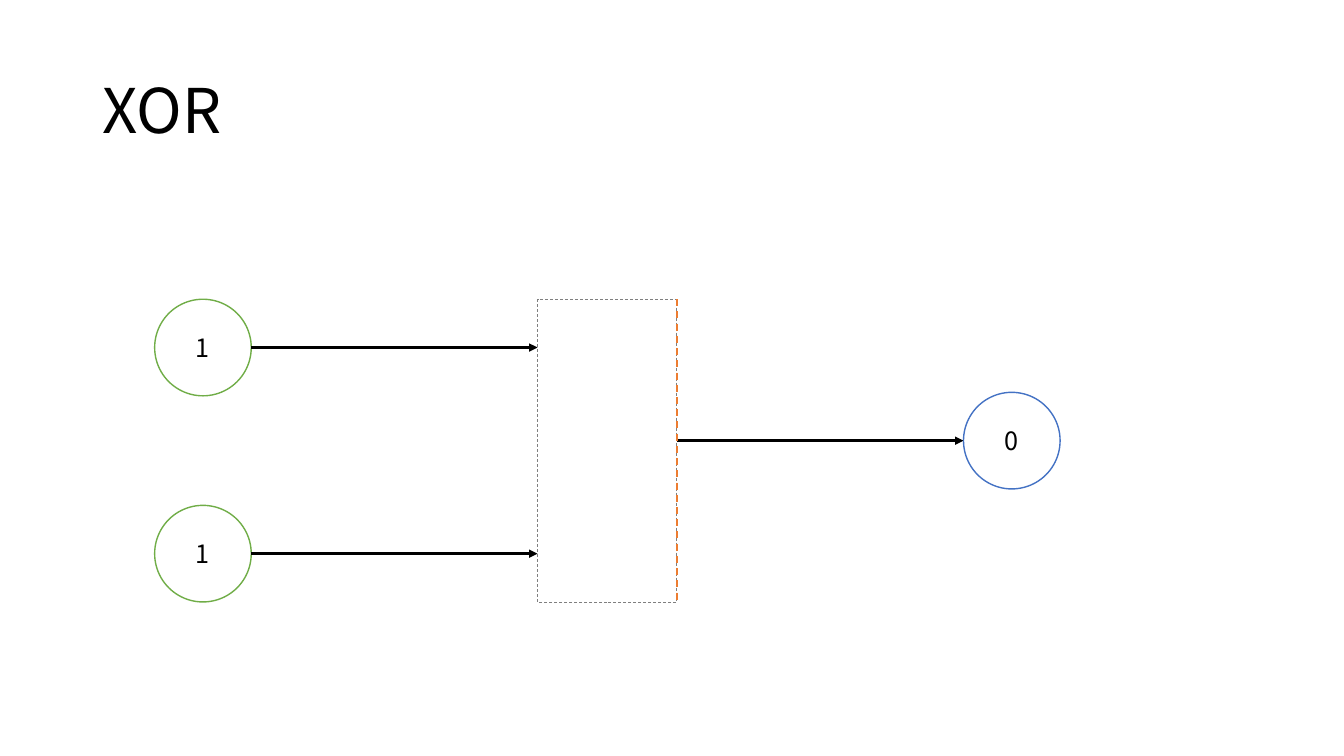
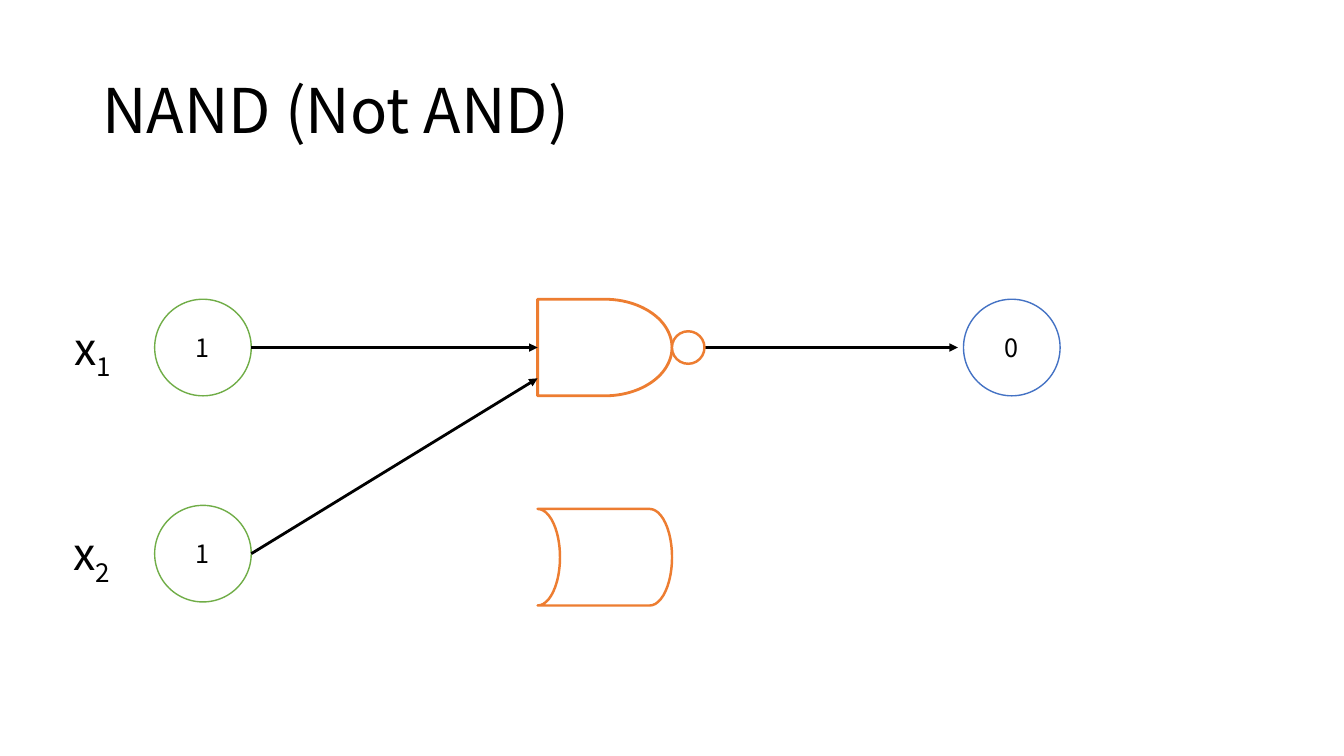
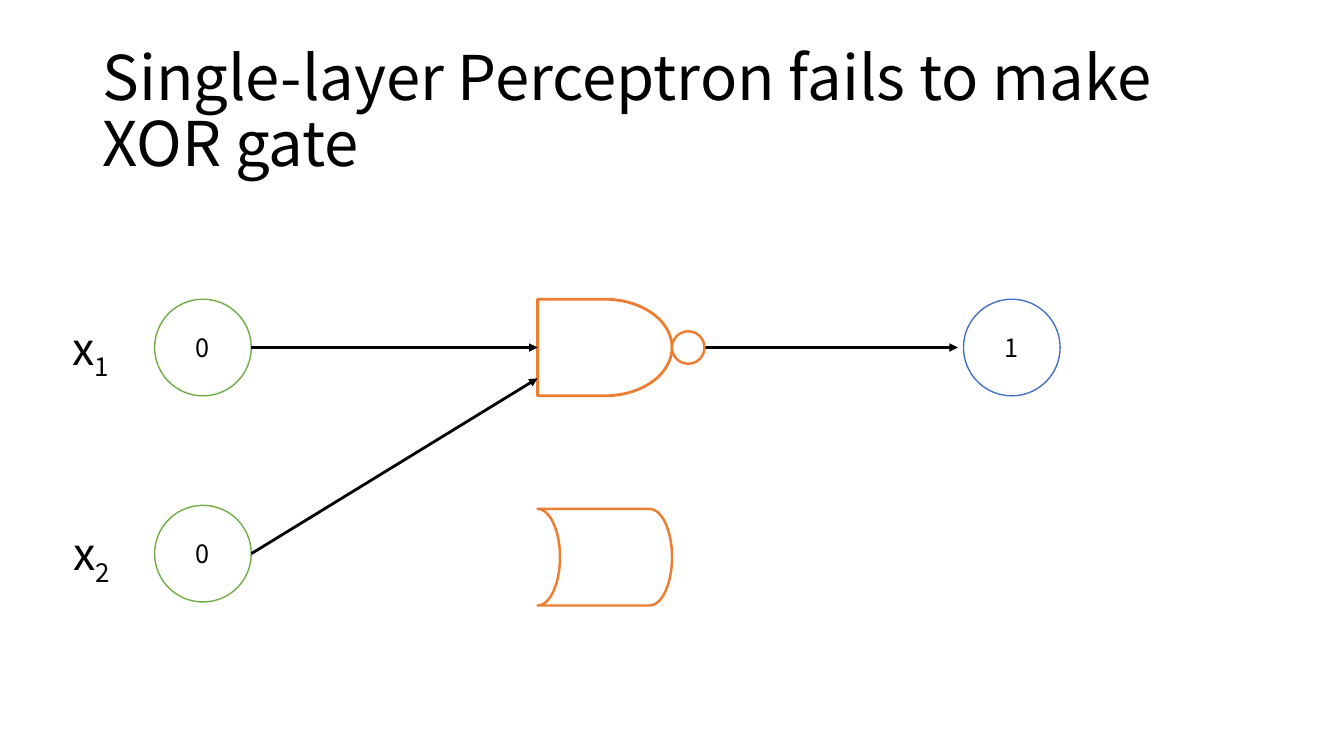
"""Build three slides about logic gates and the single-layer perceptron."""
from dataclasses import dataclass

from lxml.etree import SubElement
from pptx import Presentation
from pptx.dml.color import RGBColor
from pptx.enum.dml import MSO_LINE
from pptx.enum.shapes import MSO_CONNECTOR, MSO_SHAPE
from pptx.enum.text import MSO_ANCHOR, MSO_AUTO_SIZE, PP_ALIGN
from pptx.oxml.ns import qn
from pptx.shapes.autoshape import Shape
from pptx.shapes.connector import Connector
from pptx.slide import Slide
from pptx.text.text import _Run
from pptx.util import Pt

FONT = "Noto Sans CJK KR"
BLACK = RGBColor(0x00, 0x00, 0x00)
WHITE = RGBColor(0xFF, 0xFF, 0xFF)
GREEN = RGBColor(0x70, 0xAD, 0x47)
BLUE = RGBColor(0x44, 0x72, 0xC4)
ORANGE = RGBColor(0xED, 0x7D, 0x31)
GRAY = RGBColor(0x7F, 0x7F, 0x7F)

NODE = 69
ROW_1, ROW_2 = 213.75, 361
MID_1, MID_2 = ROW_1 + NODE / 2, ROW_2 + NODE / 2
INPUT_X, GATE_X, OUTPUT_X = 110.5, 384, 688.25
INPUT_EDGE = INPUT_X + NODE
GATE_W, BOX_W = 96, 99.5
BUBBLE = 23.25
ARROW_W = 204.25


@dataclass
class Outline:
    color: RGBColor
    width: float = 1
    dash: MSO_LINE | None = None


@dataclass
class Label:
    index: str
    x: float
    y: float


@dataclass
class Gate:
    title: str
    inputs: tuple[str, str]
    output: str
    labels: tuple[Label, ...] = ()


LABEL_1, LABEL_2 = Label("1", 46, 225.25), Label("2", 45.25, 372.25)
GATES = (
    Gate("XOR", ("1", "1"), "0"),
    Gate("NAND (Not AND)", ("1", "1"), "0", (LABEL_1, LABEL_2)),
    Gate("Single-layer Perceptron fails to make XOR gate", ("0", "0"), "1",
         (Label("1", 44.75, LABEL_1.y), LABEL_2)),
)


def style(r: _Run, size: float) -> None:
    """Apply the shared font to a run."""
    r.font.name = FONT
    r.font.size = Pt(size)
    r.font.color.rgb = BLACK


def add_title(s: Slide, text: str) -> None:
    """Fill and place the title placeholder."""
    sp = s.shapes.title
    sp.left, sp.top, sp.width, sp.height = Pt(66), Pt(28.75), Pt(828), Pt(104.5)
    tf = sp.text_frame
    tf.text = text
    tf.auto_size = MSO_AUTO_SIZE.NONE
    tf.vertical_anchor = MSO_ANCHOR.MIDDLE
    p = tf.paragraphs[0]
    p.alignment = PP_ALIGN.LEFT
    p.line_spacing = 0.9
    style(p.runs[0], 44)


def add_outline(s: Slide, kind: MSO_SHAPE, x: float, y: float, w: float, h: float,
                outline: Outline) -> Shape:
    """Draw a white preset shape with the given outline."""
    sp = s.shapes.add_shape(kind, Pt(x), Pt(y), Pt(w), Pt(h))
    sp.shadow.inherit = False
    sp.fill.solid()
    sp.fill.fore_color.rgb = WHITE
    set_line(sp, outline)
    return sp


def set_line(sp: Shape | Connector, outline: Outline) -> None:
    """Set colour, width and dash of a line."""
    sp.line.color.rgb = outline.color
    sp.line.width = Pt(outline.width)
    if outline.dash:
        sp.line.dash_style = outline.dash


def add_node(s: Slide, x: float, y: float, value: str, color: RGBColor) -> None:
    """Draw a circle holding one bit."""
    sp = add_outline(s, MSO_SHAPE.OVAL, x, y, NODE, NODE, Outline(color))
    tf = sp.text_frame
    tf.text = value
    tf.vertical_anchor = MSO_ANCHOR.MIDDLE
    p = tf.paragraphs[0]
    p.alignment = PP_ALIGN.CENTER
    style(p.runs[0], 18)


def add_line(s: Slide, x1: float, y1: float, x2: float, y2: float,
             outline: Outline) -> Connector:
    """Draw a straight connector without shadow."""
    cn = s.shapes.add_connector(MSO_CONNECTOR.STRAIGHT, Pt(x1), Pt(y1), Pt(x2), Pt(y2))
    set_line(cn, outline)
    SubElement(cn._element.spPr, qn("a:effectLst"))
    return cn


def add_arrow(s: Slide, x1: float, y1: float, x2: float, y2: float) -> None:
    """Draw a black arrow."""
    cn = add_line(s, x1, y1, x2, y2, Outline(BLACK, 2))
    SubElement(cn.line._get_or_add_ln(), qn("a:tailEnd"), type="triangle")


def add_label(s: Slide, label: Label) -> None:
    """Write an input name with its subscript."""
    tb = s.shapes.add_textbox(Pt(label.x), Pt(label.y), Pt(42), Pt(46))
    tf = tb.text_frame
    tf.word_wrap = False
    tf.auto_size = MSO_AUTO_SIZE.SHAPE_TO_FIT_TEXT
    p = tf.paragraphs[0]
    for text in ("x", label.index):
        r = p.add_run()
        r.text = text
        style(r, 32)
    r._r.get_or_add_rPr().set("baseline", "-25000")


def add_black_box(s: Slide) -> None:
    """Draw the unknown gate between inputs and output."""
    height = ROW_2 + NODE - ROW_1
    right, middle = GATE_X + BOX_W, ROW_1 + 101
    add_arrow(s, INPUT_EDGE, MID_1, GATE_X, MID_1)
    add_arrow(s, INPUT_EDGE, MID_2, GATE_X, MID_2)
    add_arrow(s, right, middle, OUTPUT_X, middle)
    add_outline(s, MSO_SHAPE.RECTANGLE, GATE_X, ROW_1, BOX_W, height,
                Outline(GRAY, 0.5, MSO_LINE.DASH))
    add_line(s, right, ROW_1, right, ROW_1 + height, Outline(ORANGE, 1.25, MSO_LINE.DASH))


def add_nand(s: Slide) -> None:
    """Draw the NAND gate, its arrows and the spare OR body."""
    right = GATE_X + GATE_W
    add_outline(s, MSO_SHAPE.FLOWCHART_DELAY, GATE_X, ROW_1, GATE_W, NODE, Outline(ORANGE, 2))
    body = add_outline(s, MSO_SHAPE.FLOWCHART_STORED_DATA, GATE_X, ROW_2 + 2.5, GATE_W, NODE,
                       Outline(ORANGE, 1.75))
    body.rotation = 180
    add_arrow(s, INPUT_EDGE, MID_1, GATE_X, MID_1)
    add_arrow(s, INPUT_EDGE, MID_2, GATE_X, MID_1 + 22)
    add_arrow(s, right, MID_1, right + ARROW_W, MID_1)
    add_outline(s, MSO_SHAPE.OVAL, right, MID_1 - BUBBLE / 2, BUBBLE, BUBBLE,
                Outline(ORANGE, 1.75))


def add_gate(prs: Presentation, gate: Gate) -> None:
    """Add one slide showing a gate."""
    s = prs.slides.add_slide(prs.slide_layouts[5])
    add_title(s, gate.title)
    for y, value in zip((ROW_1, ROW_2), gate.inputs):
        add_node(s, INPUT_X, y, value, GREEN)
    if gate.labels:
        add_nand(s)
    else:
        add_black_box(s)
    add_node(s, OUTPUT_X, ROW_1 if gate.labels else ROW_1 + 66.5, gate.output, BLUE)
    for label in gate.labels:
        add_label(s, label)


def main() -> None:
    """Build and save the presentation."""
    prs = Presentation()
    prs.slide_width, prs.slide_height = Pt(960), Pt(540)
    for gate in GATES:
        add_gate(prs, gate)
    prs.save("out.pptx")


if __name__ == "__main__":
    main()
